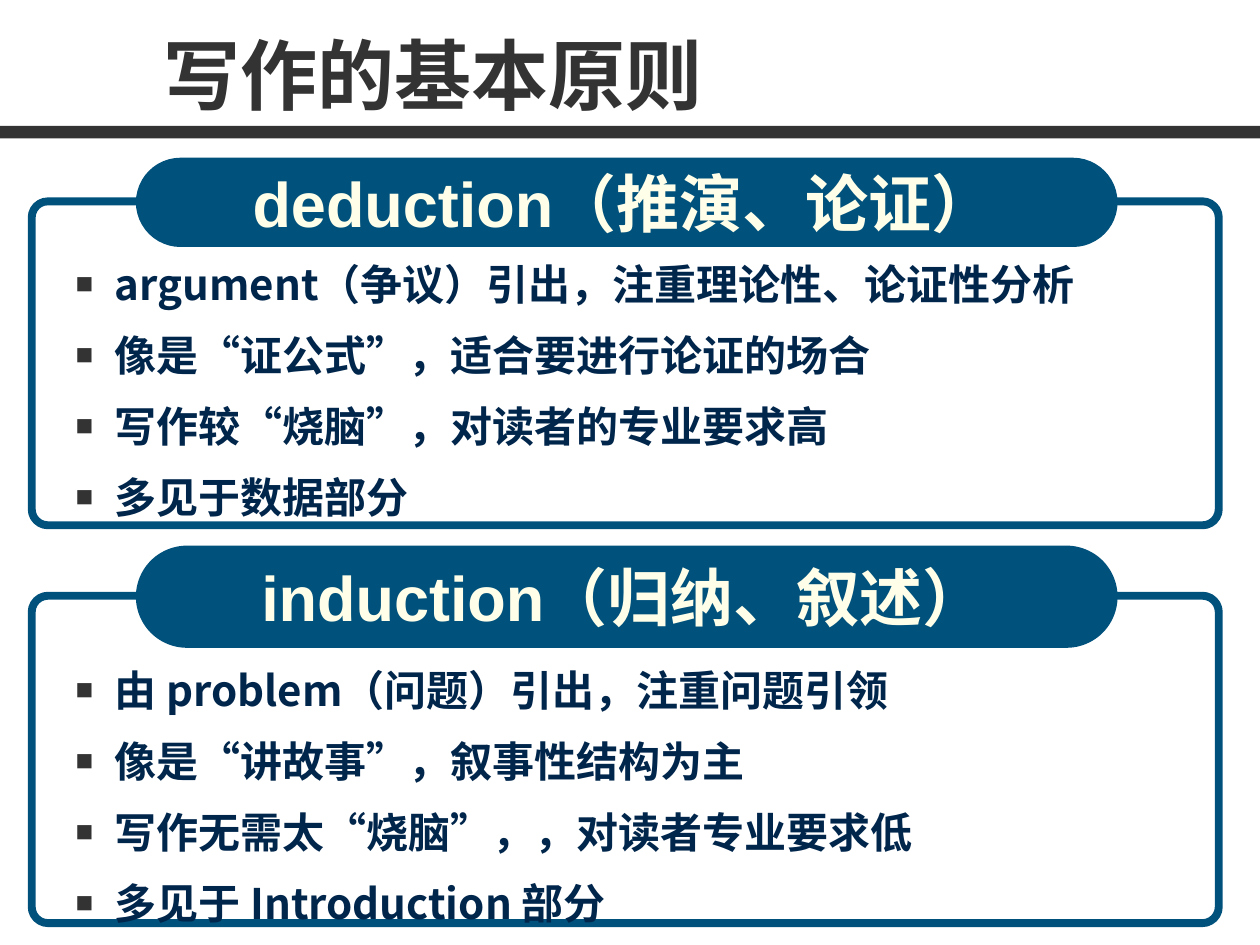
import lxml.etree
import pptx
import pptx.dml.color
import pptx.enum.shapes
import pptx.enum.text
import pptx.oxml.ns
import pptx.util
from pptx.util import Cm

CHARCOAL = pptx.dml.color.RGBColor(0x33, 0x33, 0x33)
TEAL = pptx.dml.color.RGBColor(0x00, 0x51, 0x7C)
NAVY = pptx.dml.color.RGBColor(0x00, 0x26, 0x4C)
IVORY = pptx.dml.color.RGBColor(0xFF, 0xFF, 0xE9)
CJK_FONT = "Noto Sans CJK SC"
LABEL_HEIGHT = 1.78

SECTIONS = [
    {
        "heading": "deduction（推演、论证）",
        "frame": (4.06, 6.53),
        "banner": (3.18, 1.8),
        "points": (4.88, 23.93),
        "lines": [
            "argument（争议）引出，注重理论性、论证性分析",
            "像是“证公式”，适合要进行论证的场合",
            "写作较“烧脑”，对读者的专业要求高",
            "多见于数据部分",
        ],
    },
    {
        "heading": "induction（归纳、叙述）",
        "frame": (12.01, 6.6),
        "banner": (11, 2.06),
        "points": (13.06, 24.56),
        "lines": [
            "由 problem（问题）引出，注重问题引领",
            "像是“讲故事”，叙事性结构为主",
            "写作无需太“烧脑”，，对读者专业要求低",
            "多见于 Introduction 部分",
        ],
    },
]


def place(shape, left, top, width, height):
    shape.left, shape.top = Cm(left), Cm(top)
    shape.width, shape.height = Cm(width), Cm(height)


def add_element(parent, tag, **attributes):
    return lxml.etree.SubElement(parent, pptx.oxml.ns.qn(tag), attributes)


def style_paragraph(paragraph, size, color, latin=CJK_FONT):
    font = paragraph.font
    font.size = pptx.util.Pt(size)
    font.bold = True
    font.color.rgb = color
    font.name = latin
    defaults = paragraph._p.pPr.find(pptx.oxml.ns.qn("a:defRPr"))
    add_element(defaults, "a:ea", typeface=CJK_FONT)


def add_bullet(paragraph):
    properties = paragraph._p.get_or_add_pPr()
    properties.set("marL", str(Cm(2.06)))
    properties.set("indent", str(Cm(-0.79)))
    bullet_color = add_element(properties, "a:buClr")
    add_element(bullet_color, "a:srgbClr", val=str(CHARCOAL))
    add_element(properties, "a:buSzPct", val="70000")
    add_element(properties, "a:buFont", typeface="Arial")
    add_element(properties, "a:buChar", char="■")


def add_block(shapes, kind, left, top, width, height, fill=None):
    block = shapes.add_shape(kind, Cm(left), Cm(top), Cm(width), Cm(height))
    block.shadow.inherit = False
    block.line.fill.background()
    if fill is None:
        block.fill.background()
    else:
        block.fill.solid()
        block.fill.fore_color.rgb = fill
    return block


def write_title(title):
    place(title, 3.05, 0.43, 21.59, 2.11)
    frame = title.text_frame
    frame.text = "写作的基本原则"
    frame.auto_size = pptx.enum.text.MSO_AUTO_SIZE.NONE
    frame.vertical_anchor = pptx.enum.text.MSO_ANCHOR.BOTTOM
    frame.paragraphs[0].alignment = pptx.enum.text.PP_ALIGN.LEFT
    style_paragraph(frame.paragraphs[0], 44, CHARCOAL)


def add_panel(slide, section):
    rounded = pptx.enum.shapes.MSO_SHAPE.ROUNDED_RECTANGLE
    panel = slide.shapes.add_group_shape().shapes

    frame_top, frame_height = section["frame"]
    outline = add_block(panel, rounded, 0.64, frame_top, 23.93, frame_height)
    outline.adjustments[0] = 0.05
    outline.line.color.rgb = TEAL
    outline.line.width = pptx.util.Pt(4.5)

    banner_top, banner_height = section["banner"]
    banner = add_block(panel, rounded, 2.74, banner_top, 19.79, banner_height, TEAL)
    banner.adjustments[0] = 0.5

    heading_top = banner_top + (banner_height - LABEL_HEIGHT) / 2
    heading = panel.add_textbox(Cm(3.78), Cm(heading_top), Cm(17.58), Cm(LABEL_HEIGHT))
    heading.text_frame.word_wrap = True
    heading.text_frame.text = section["heading"]
    paragraph = heading.text_frame.paragraphs[0]
    paragraph.alignment = pptx.enum.text.PP_ALIGN.CENTER
    style_paragraph(paragraph, 36, IVORY, "Arial")


def write_points(points, section):
    top, width = section["points"]
    place(points, 0, top, width, 5.77)
    points.element.getparent().append(points.element)
    frame = points.text_frame
    frame.text = "\n".join(section["lines"])
    frame.auto_size = pptx.enum.text.MSO_AUTO_SIZE.NONE
    for number, paragraph in enumerate(frame.paragraphs):
        add_bullet(paragraph)
        paragraph.level = 1
        paragraph.line_spacing = 1.2
        paragraph.space_before = pptx.util.Pt(6 if number else 0)
        style_paragraph(paragraph, 24, NAVY)


def main():
    presentation = pptx.Presentation()
    presentation.slide_width, presentation.slide_height = Cm(25.4), Cm(19.05)
    slide = presentation.slides.add_slide(presentation.slide_layouts[3])
    write_title(slide.shapes.title)
    add_block(slide.shapes, pptx.enum.shapes.MSO_SHAPE.RECTANGLE,
              0, 2.54, 25.4, 0.25, CHARCOAL)
    bodies = [slide.placeholders[1], slide.placeholders[2]]
    for section, points in zip(SECTIONS, bodies):
        add_panel(slide, section)
        write_points(points, section)
    presentation.save("out.pptx")


if __name__ == "__main__":
    main()
